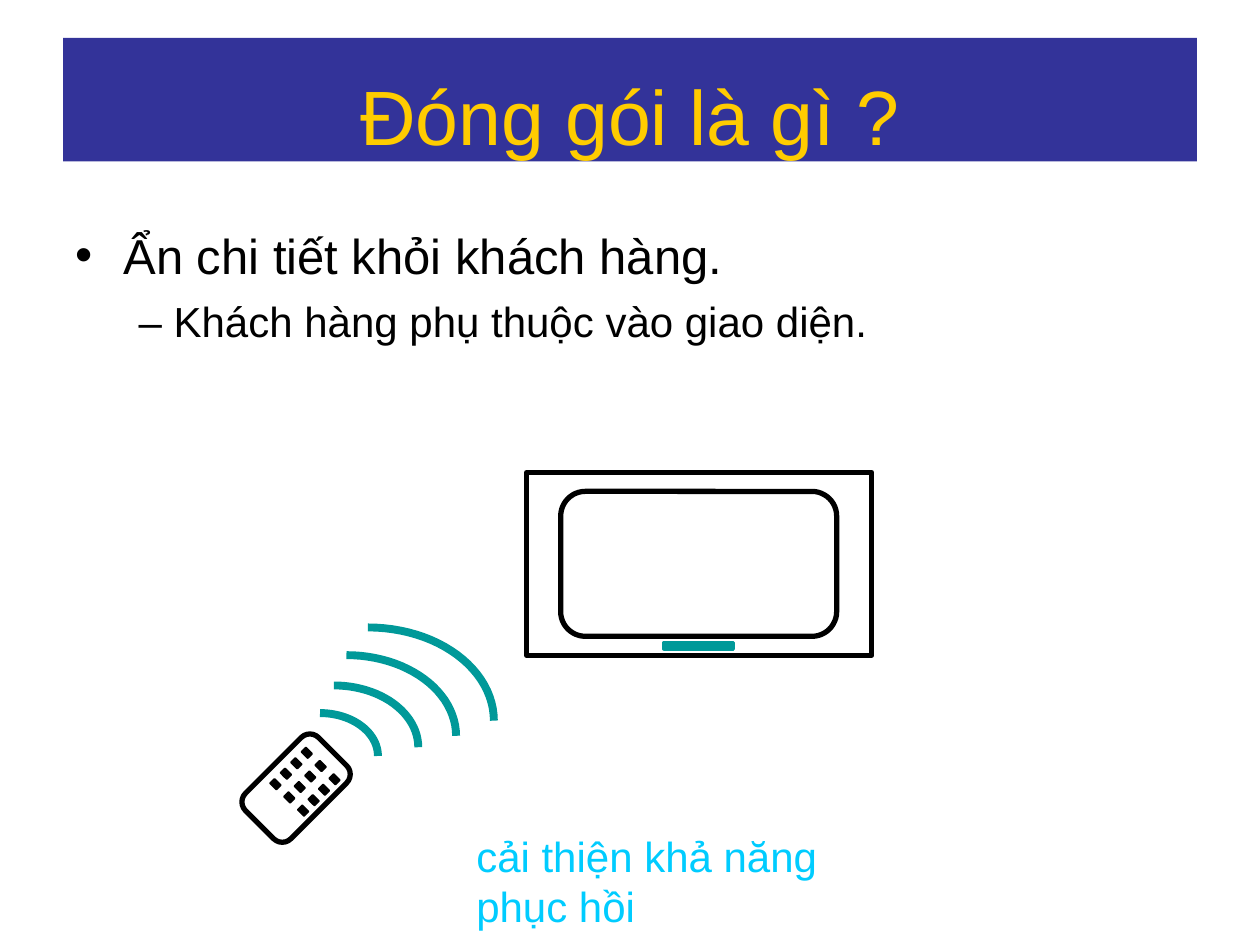
"""Build the slide that explains encapsulation with a remote control and a television."""
from math import cos, pi, sin

from lxml import etree
from pptx import Presentation
from pptx.dml.color import RGBColor
from pptx.enum.shapes import MSO_SHAPE
from pptx.enum.text import MSO_ANCHOR, MSO_AUTO_SIZE, PP_ALIGN
from pptx.oxml.ns import qn
from pptx.util import Inches, Pt

RECT = MSO_SHAPE.RECTANGLE
ROUND = MSO_SHAPE.ROUNDED_RECTANGLE
TOP = MSO_ANCHOR.TOP
GROW = MSO_AUTO_SIZE.SHAPE_TO_FIT_TEXT
LEFT, CENTER = PP_ALIGN.LEFT, PP_ALIGN.CENTER
TEAL, BLACK = "009999", "000000"


def paint(shape, fill, line, width):
    shape.shadow.inherit = False
    for part, tint in ((shape.fill, fill), (shape.line.fill, line)):
        if tint:
            part.solid()
            part.fore_color.rgb = RGBColor.from_string(tint)
        else:
            part.background()
    if line:
        shape.line.width = Pt(width)


def write(shape, box, inset, lines, tint, align):
    shape.left, shape.top, shape.width, shape.height = map(Inches, box)
    frame = shape.text_frame
    form = {"margin_left": 0, "margin_top": Inches(inset), "margin_right": 0,
            "margin_bottom": 0, "vertical_anchor": TOP, "word_wrap": True,
            "auto_size": GROW}
    for key, val in form.items():
        setattr(frame, key, val)
    frame.text = "\n".join(text for text, size, gap in lines)
    for para, (text, size, gap) in zip(frame.paragraphs, lines):
        para.alignment = align
        para.space_before = Pt(gap)
        font = para.runs[0].font
        for key, val in {"name": "Arial", "size": Pt(size)}.items():
            setattr(font, key, val)
        font.color.rgb = RGBColor.from_string(tint)


deck = Presentation()
deck.slide_width, deck.slide_height = Inches(10), Inches(7.5)
slide = deck.slides.add_slide(deck.slide_layouts[1])
shapes = slide.shapes

title, body = slide.placeholders
paint(title, "333399", None, 0)
write(title, (0.5, 0.3, 9, 0.98), 0.24,
      [("Đóng gói là gì ?", 44, 17.4)], "FFCC00", CENTER)
write(body, (0.59, 1.67, 6.36, 1.09), 0.12,
      [("Ẩn chi tiết khỏi khách hàng.", 28, 8.4),
       ("– Khách hàng phụ thuộc vào giao diện.", 24, 6.4)], BLACK, LEFT)
first, second = body.text_frame.paragraphs
second.level = 1
for para, margin, indent in ((first, 0.39, -0.38), (second, 0.51, 0)):
    props = para._p.get_or_add_pPr()
    props.set("marL", str(Inches(margin)))
    props.set("indent", str(Inches(indent)))
etree.SubElement(second._p.pPr, qn("a:buNone"))

note = shapes.add_textbox(0, 0, 0, 0)
write(note, (3.78, 6.58, 3.01, 0.43), 0.01,
      [("cải thiện khả năng phục hồi", 24, 1)], "00CCFF", LEFT)

steps = 24
for x, y, wide, high in ((2.54, 5.66, 0.46, 0.34), (2.65, 5.44, 0.67, 0.49),
                         (2.75, 5.2, 0.87, 0.64), (2.92, 4.98, 1, 0.74)):
    turns = [pi / 2 * i / steps for i in range(steps + 1)]
    dots = [(Inches(x + wide * sin(t)), Inches(y + high * (1 - cos(t))))
            for t in turns]
    path = shapes.build_freeform(*dots[0])
    path.add_line_segments(dots[1:], close=False)
    paint(path.convert_to_shape(), None, TEAL, 4.5)

parts = [
    (ROUND, 1.94, 6.0, 0.82, 0.51, -45, 0.19, None, BLACK, 3),
    (RECT, 4.18, 3.75, 2.74, 1.45, 0, None, None, BLACK, 3),
    (ROUND, 4.45, 3.9, 2.19, 1.15, 0, 0.17, None, BLACK, 3),
    (RECT, 5.27, 5.1, 0.55, 0.05, 0, None, TEAL, TEAL, 2),
]
for col in range(4):
    for row in range(3):
        x = 2.4 - 0.083 * col + 0.11 * row
        y = 5.95 + 0.083 * col + 0.105 * row
        parts.append((RECT, x, y, 0.07, 0.05, 45, None, BLACK, BLACK, 1))
for kind, x, y, wide, high, turn, curve, fill, line, width in parts:
    part = shapes.add_shape(kind, *map(Inches, (x, y, wide, high)))
    part.rotation = turn
    if curve:
        part.adjustments[0] = curve
    paint(part, fill, line, width)

deck.save("out.pptx")
